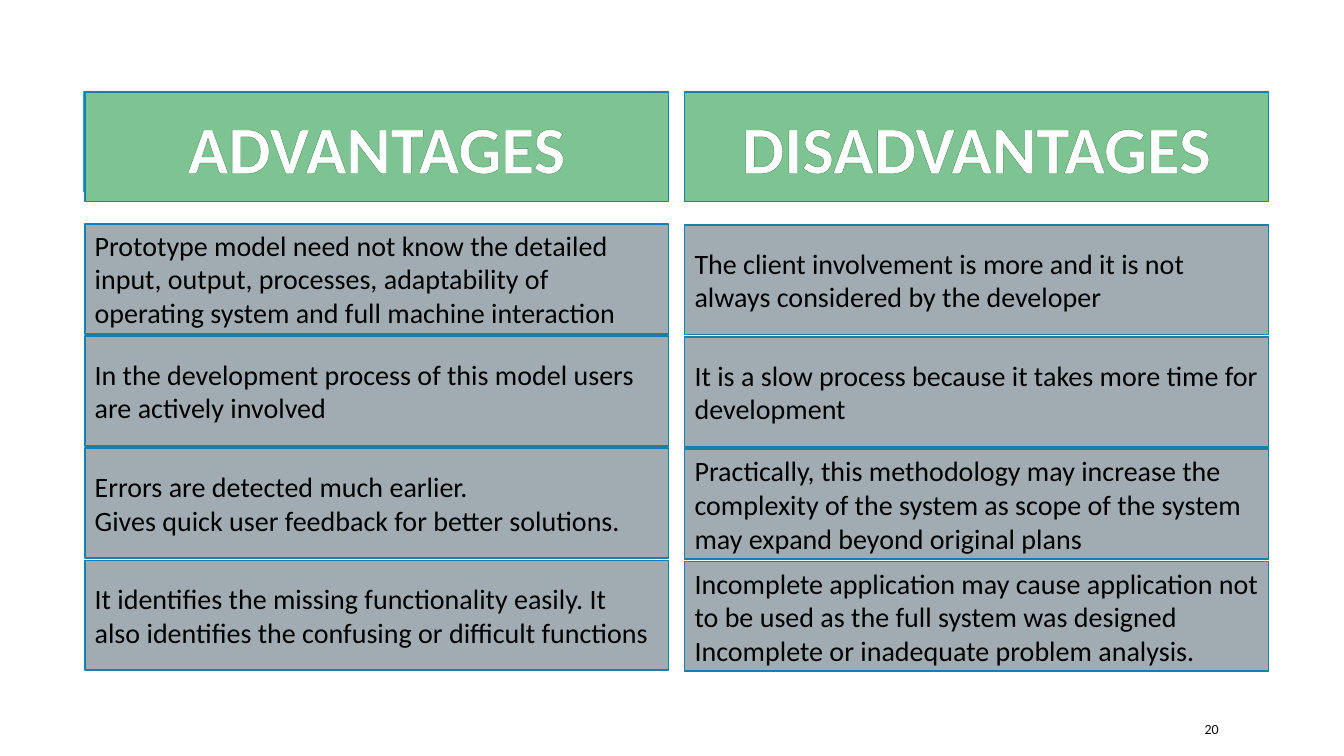
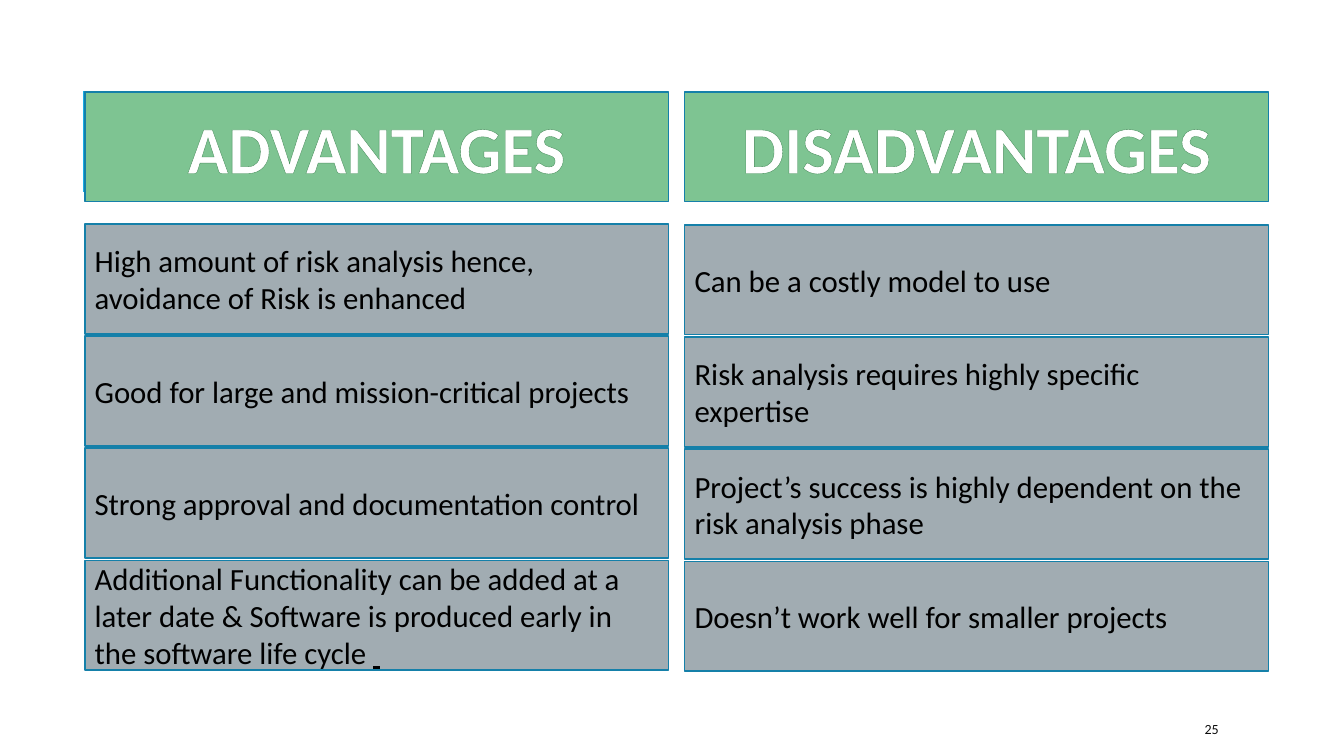
from lxml import etree
from pptx import Presentation
from pptx.dml.color import RGBColor
from pptx.enum.shapes import MSO_CONNECTOR, MSO_SHAPE
from pptx.enum.text import MSO_ANCHOR, PP_ALIGN
from pptx.oxml import parse_xml
from pptx.oxml.ns import nsdecls, qn
from pptx.util import Inches, Pt

FONT = "Calibri"
GREEN = RGBColor(0x7E, 0xC4, 0x92)
DARK_GREEN = RGBColor(0x3E, 0x88, 0x53)
GREY = RGBColor(0xA1, 0xAC, 0xB2)
BORDER_BLUE = RGBColor(0x15, 0x80, 0xA9)
ACCENT_BLUE = RGBColor(0x1C, 0xAD, 0xE4)
WHITE = RGBColor(0xFF, 0xFF, 0xFF)
BLACK = RGBColor(0x00, 0x00, 0x00)
NUMBER_GREY = RGBColor(0x0D, 0x0D, 0x0D)

BLANK_LAYOUT = 6
BOX_WIDTH = 5.79
BOX_HEIGHT = 1.09
HEADING_TOP = 0.91
ROW_STEP = 3.34 / 3

# Heading, left edge and top of the first row of each column
COLUMNS = [("ADVANTAGES", 0.84, 2.22), ("DISADVANTAGES", 6.79, 2.23)]

# Each column is a list of boxes, each box a list of paragraphs
PROTOTYPE_COLUMNS = [
    [
        ["Prototype model need not know the detailed input, output, processes, "
         "adaptability of operating system and full machine interaction"],
        ["In the development process of this model users are actively involved"],
        ["Errors are detected much earlier.",
         "Gives quick user feedback for better solutions."],
        ["It identifies the missing functionality easily. "
         "It also identifies the confusing or difficult functions"],
    ],
    [
        ["The client involvement is more and it is not always considered by the developer"],
        ["It is a slow process because it takes more time for development"],
        ["Practically, this methodology may increase the complexity of the system "
         "as scope of the system may expand beyond original plans"],
        ["Incomplete application may cause application not to be used as the full "
         "system was designed Incomplete or inadequate problem analysis."],
    ],
]
SPIRAL_COLUMNS = [
    [
        ["High amount of risk analysis hence, avoidance of Risk is enhanced"],
        ["Good for large and mission-critical projects"],
        ["Strong approval and documentation control"],
        ["Additional Functionality can be added at a later date & Software is "
         "produced early in the software life cycle "],
    ],
    [
        ["Can be a costly model to use"],
        ["Risk analysis requires highly specific expertise"],
        ["Project’s success is highly dependent on the risk analysis phase"],
        ["Doesn’t work well for smaller projects"],
    ],
]


def add_span(para, text, size, color, bold=False):
    span = para.add_run()
    span.text = text
    span.font.name = FONT
    span.font.size = Pt(size)
    span.font.color.rgb = color
    span.font.bold = bold
    return span


def outline_span(span, color, width):
    """Draw a thin line around the letters."""
    outline = parse_xml(
        f'<a:ln {nsdecls("a")} w="{Pt(width)}"><a:solidFill>'
        f'<a:srgbClr val="{color}"/></a:solidFill></a:ln>')
    span.font._element.insert(0, outline)


def add_box(page, left, top, fill):
    """Add a bordered rectangle and return its text frame."""
    box = page.shapes.add_shape(
        MSO_SHAPE.RECTANGLE, Inches(left), Inches(top), Inches(BOX_WIDTH), Inches(BOX_HEIGHT))
    box.shadow.inherit = False
    box.fill.solid()
    box.fill.fore_color.rgb = fill
    box.line.color.rgb = BORDER_BLUE
    box.line.width = Pt(1.25)
    frame = box.text_frame
    frame.word_wrap = True
    frame.vertical_anchor = MSO_ANCHOR.MIDDLE
    return frame


def add_heading(page, text, left):
    para = add_box(page, left, HEADING_TOP, GREEN).paragraphs[0]
    para.alignment = PP_ALIGN.CENTER
    outline_span(add_span(para, text, 48, WHITE, bold=True), DARK_GREEN, 0.8)


def add_point(page, lines, left, top, size):
    """Add a grey box with one paragraph a line; return the last paragraph."""
    frame = add_box(page, left, top, GREY)
    for index, line in enumerate(lines):
        para = frame.add_paragraph() if index else frame.paragraphs[0]
        para.alignment = PP_ALIGN.LEFT
        add_span(para, line, size, BLACK)
    return para


def add_accent_line(page):
    line = page.shapes.add_connector(
        MSO_CONNECTOR.STRAIGHT, Inches(0.83), Inches(1.9), Inches(0.83), Inches(0.9))
    line.line.color.rgb = ACCENT_BLUE
    line.line.width = Pt(1.5)
    etree.SubElement(line.element.spPr, qn("a:effectLst"))


def add_page_number(page, number):
    box = page.shapes.add_textbox(Inches(11.85), Inches(7.08), Inches(1.06), Inches(0.3))
    frame = box.text_frame
    frame.word_wrap = True
    frame.vertical_anchor = MSO_ANCHOR.MIDDLE
    add_span(frame.paragraphs[0], str(number), 10, NUMBER_GREY)


def add_comparison_page(deck, columns, size, number):
    """Add a page with two columns; return the last paragraph of each column."""
    page = deck.slides.add_slide(deck.slide_layouts[BLANK_LAYOUT])
    add_accent_line(page)
    closing_paras = []
    for (heading, left, first_top), points in zip(COLUMNS, columns):
        add_heading(page, heading, left)
        for row, lines in enumerate(points):
            para = add_point(page, lines, left, first_top + row * ROW_STEP, size)
        closing_paras.append(para)
    add_page_number(page, number)
    return closing_paras


def main():
    deck = Presentation()
    deck.slide_width = Inches(13.33)
    deck.slide_height = Inches(7.5)
    add_comparison_page(deck, PROTOTYPE_COLUMNS, 20, 20)
    last_advantage, _ = add_comparison_page(deck, SPIRAL_COLUMNS, 22, 25)
    add_span(last_advantage, " ", 22, BLACK, bold=True).font.underline = True
    deck.save("out.pptx")


if __name__ == "__main__":
    main()
